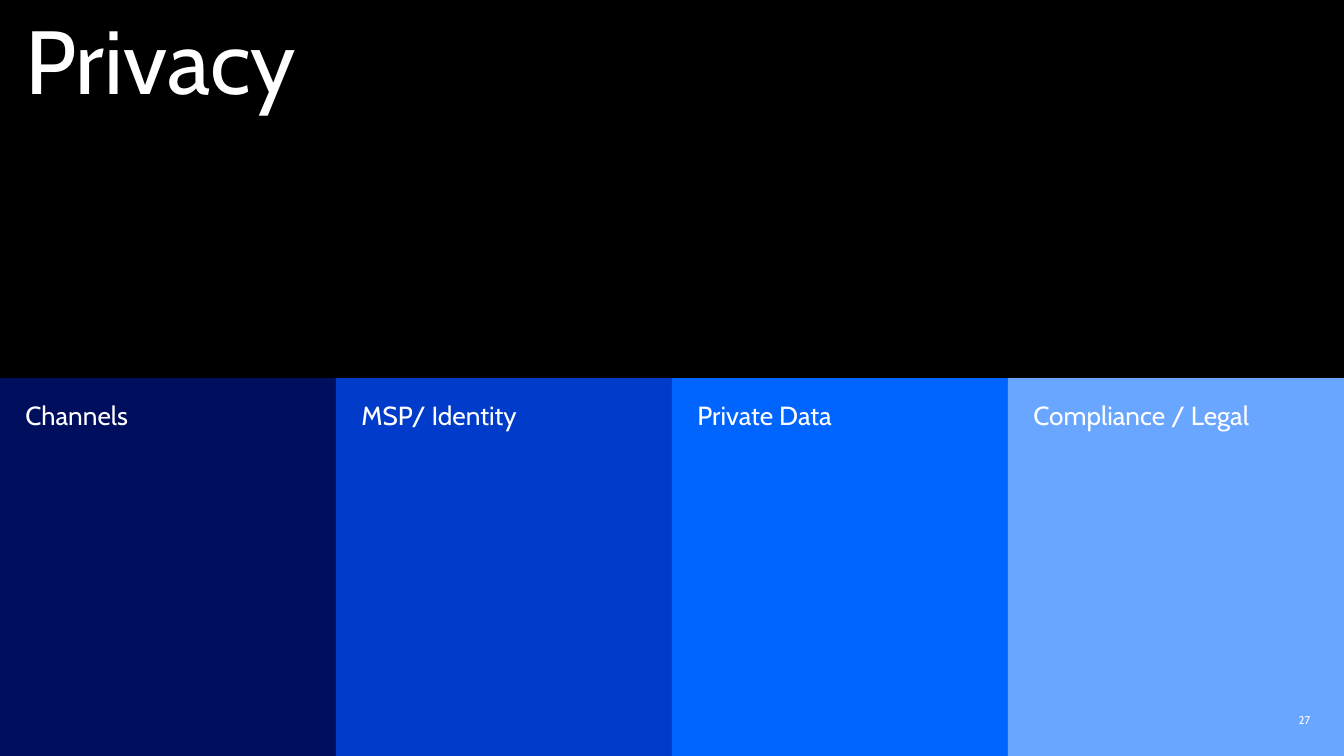
"""Build the Privacy slide: a black title band above four blue topic panels."""
import pptx
import pptx.util
import pptx.dml.color
import pptx.enum.shapes
import pptx.enum.text

Cm = pptx.util.Cm
Pt = pptx.util.Pt
RGB = pptx.dml.color.RGBColor
ALIGN = pptx.enum.text.PP_ALIGN
ANCHOR = pptx.enum.text.MSO_ANCHOR

BLACK = RGB(0x00, 0x00, 0x00)
WHITE = RGB(0xFF, 0xFF, 0xFF)
NAVY = RGB(0x00, 0x0E, 0x5E)
COBALT = RGB(0x00, 0x3B, 0xC9)
BLUE = RGB(0x00, 0x64, 0xFF)
SKY = RGB(0x69, 0xA6, 0xFF)
FONT = "Cabin"

TITLE = "Privacy"
TOPICS = [
    ("Channels", NAVY),
    ("MSP/ Identity", COBALT),
    ("Private Data", BLUE),
    ("Compliance / Legal", SKY),
]
NUMBER = "27"

WIDTH, HEIGHT = Cm(33.87), Cm(19.05)
HALF = HEIGHT // 2
PANEL = WIDTH // len(TOPICS)
PAD = Cm(0.64)


def write(shape, text, size, top, pad, align=ALIGN.LEFT, anchor=ANCHOR.TOP):
    frame = shape.text_frame
    frame.word_wrap = True
    frame.vertical_anchor = anchor
    frame.margin_left = frame.margin_right = frame.margin_bottom = pad
    frame.margin_top = top
    line = frame.paragraphs[0]
    line.text = text
    line.alignment = align
    line.font.name = FONT
    line.font.size = Pt(size)
    line.font.color.rgb = WHITE
    return line


def block(slide, left, top, width, color):
    kind = pptx.enum.shapes.MSO_SHAPE.RECTANGLE
    shape = slide.shapes.add_shape(kind, left, top, width, HALF)
    shape.shadow.inherit = False
    shape.fill.solid()
    shape.fill.fore_color.rgb = color
    shape.line.fill.background()
    return shape


def main():
    deck = pptx.Presentation()
    deck.slide_width, deck.slide_height = WIDTH, HEIGHT
    slide = deck.slides.add_slide(deck.slide_layouts[6])
    slide.background.fill.solid()
    slide.background.fill.fore_color.rgb = NAVY

    for index, (topic, color) in enumerate(TOPICS):
        panel = block(slide, index * PANEL, HALF, PANEL, color)
        write(panel, topic, 18.7, Cm(0.53), PAD)

    band = block(slide, 0, 0, WIDTH, BLACK)
    title = write(band, TITLE, 64, Cm(0.43), PAD)
    title.line_spacing = 0.9

    page = slide.shapes.add_textbox(Cm(25.4), Cm(17.88), Cm(7.62), Cm(0.51))
    write(page, NUMBER, 8, 0, 0, ALIGN.RIGHT, ANCHOR.MIDDLE)

    deck.save("out.pptx")


if __name__ == "__main__":
    main()
